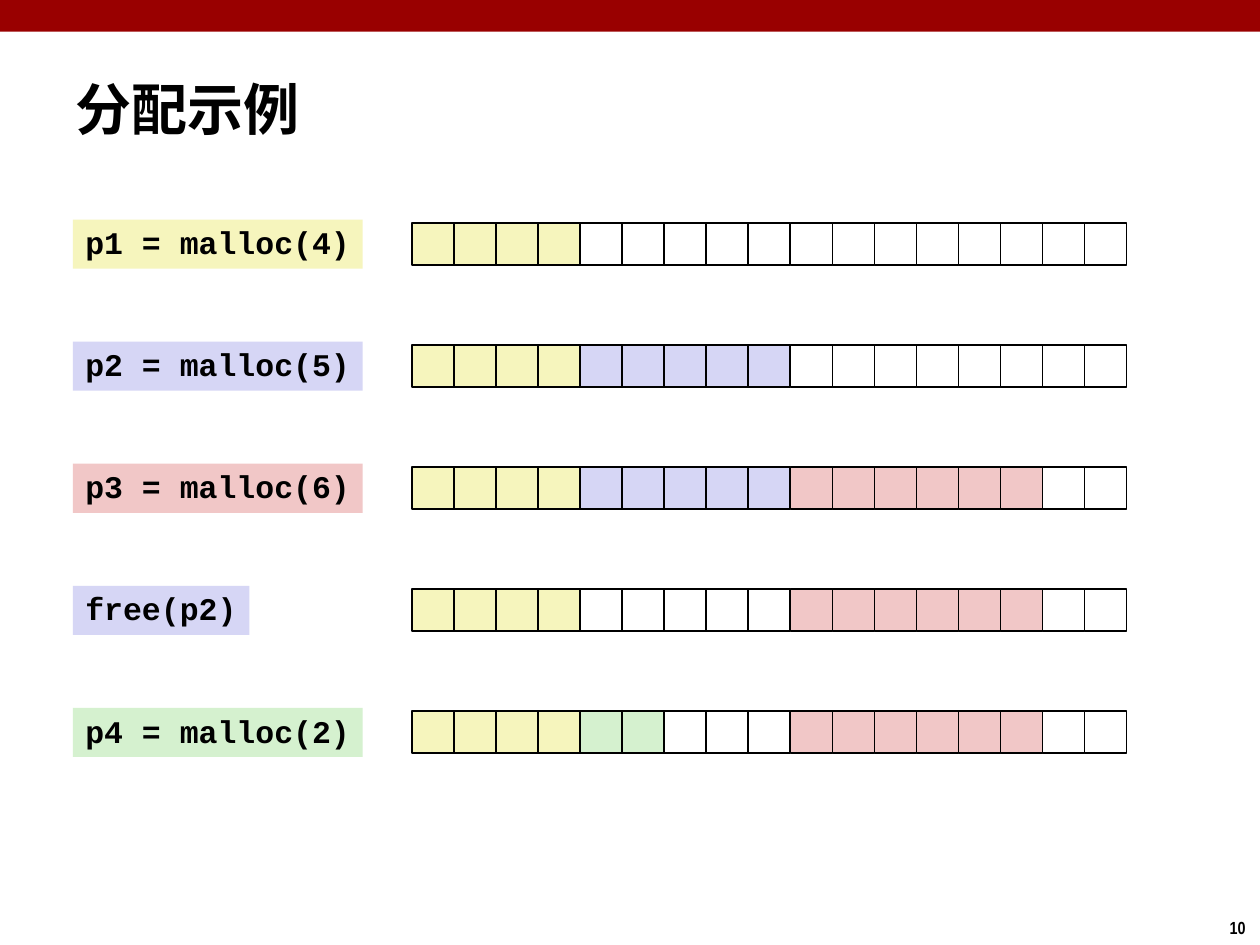
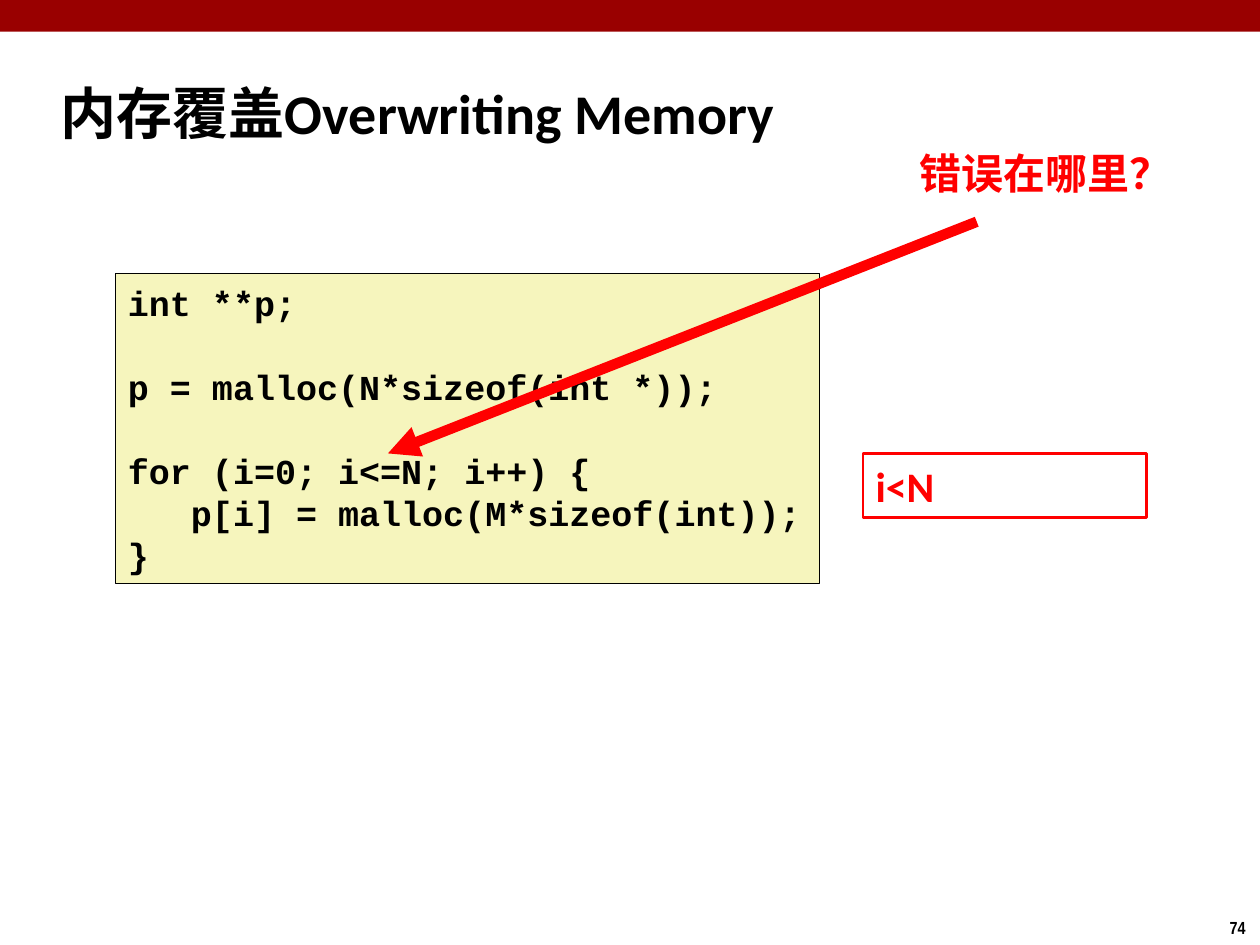
import pptx
import pptx.util
import pptx.dml.color
import pptx.enum.shapes
import pptx.enum.text
import pptx.oxml.ns
import lxml.etree

Cm, Pt = pptx.util.Cm, pptx.util.Pt
qn = pptx.oxml.ns.qn
RECTANGLE = pptx.enum.shapes.MSO_SHAPE.RECTANGLE

# Content: heap states are (block, number of words) from left to right
ALLOCATION = {
    "title": "分配示例",
    "number": "10",
    "steps": [
        ("p1 = malloc(4)", "p1", [("p1", 4), ("unused", 13)]),
        ("p2 = malloc(5)", "p2", [("p1", 4), ("p2", 5), ("unused", 8)]),
        ("p3 = malloc(6)", "p3", [("p1", 4), ("p2", 5), ("p3", 6), ("unused", 2)]),
        ("free(p2)", "p2", [("p1", 4), ("unused", 5), ("p3", 6), ("unused", 2)]),
        ("p4 = malloc(2)", "p4",
         [("p1", 4), ("p4", 2), ("unused", 3), ("p3", 6), ("unused", 2)]),
    ],
}
OVERWRITING = {
    "title": "内存覆盖Overwriting Memory",
    "number": "74",
    "code": [
        ["int **p;"],
        ["p = malloc(N*sizeof(int *));"],
        ["for (i=0; i<=N; i++) {", "   p[i] = malloc(M*sizeof(int));", "}"],
    ],
    "question": "错误在哪里？",
    "answer": "i<N",
}

# Shared look
BLACK, RED, BAND = "000000", "FF0000", "990000"
BLOCK_COLOURS = {"p1": "F6F5BD", "p2": "D6D6F5", "p3": "F1C7C7",
                 "p4": "D5F1CF", "unused": "FFFFFF"}
CJK_FONT = "Noto Sans CJK SC"
TITLE = {"name": "Calibri", "size": Pt(32), "bold": True}
NUMBER = {"name": "Arial Narrow", "size": Pt(10), "bold": True}
CALL = {"name": "Courier New", "size": Pt(18), "bold": True}
CODE = {"name": "Courier New", "size": Pt(20), "bold": True}
QUESTION = {"name": CJK_FONT, "size": Pt(24), "bold": True}
ANSWER = {"name": "Calibri", "size": Pt(24), "bold": True}
CODE_PITCH = Pt(24)

# Heap grid, in centimetres
HEAP_LEFT, HEAP_TOP, HEAP_WIDTH, HEAP_WORDS = 8.31, 4.5, 14.4, 17
WORD = HEAP_WIDTH / HEAP_WORDS
STEP_PITCH = 2.46
CALL_LEFT, CALL_HEIGHT, CHAR_WIDTH, CALL_PADDING = 1.47, 0.99, 0.38, 0.52


def colour(value):
    return pptx.dml.color.RGBColor.from_string(value)


def place(shape, left, top, width, height):
    shape.left, shape.top = Cm(left), Cm(top)
    shape.width, shape.height = Cm(width), Cm(height)


def write(paragraph, words, style, ink=BLACK, **spacing):
    run = paragraph.add_run()
    run.text = words
    for key, value in style.items():
        setattr(run.font, key, value)
    run.font.color.rgb = colour(ink)
    east_asian = lxml.etree.SubElement(run.font._element, qn("a:ea"))
    east_asian.set("typeface", CJK_FONT)
    paragraph.alignment = pptx.enum.text.PP_ALIGN.LEFT
    for key, value in spacing.items():
        setattr(paragraph, key, value)


def prepare_frame(shape, wrap):
    frame = shape.text_frame
    settings = {"word_wrap": wrap, "auto_size": pptx.enum.text.MSO_AUTO_SIZE.NONE,
                "vertical_anchor": pptx.enum.text.MSO_ANCHOR.MIDDLE}
    for key, value in settings.items():
        setattr(frame, key, value)
    return frame


def add_box(shapes, at, fill=None, outline=None, weight=1):
    box = shapes.add_shape(RECTANGLE, *(Cm(length) for length in at))
    box.shadow.inherit = False
    if fill:
        box.fill.solid()
        box.fill.fore_color.rgb = colour(fill)
    else:
        box.fill.background()
    if outline:
        box.line.color.rgb = colour(outline)
        box.line.width = Pt(weight)
    else:
        box.line.fill.background()
    return box


def add_note(slide, at, words, style, ink=BLACK, wrap=True):
    note = slide.shapes.add_textbox(*(Cm(length) for length in at))
    write(prepare_frame(note, wrap).paragraphs[0], words, style, ink)


def start_slide(deck, content, title_at, title_spacing=1.0):
    slide = deck.slides.add_slide(deck.slide_layouts.get_by_name("Title Only"))
    add_box(slide.shapes, (0, 0, 25.4, 0.64), BAND)
    add_note(slide, (24.54, 18.36, 0.86, 0.69), content["number"], NUMBER, wrap=False)
    title = slide.shapes.title
    place(title, *title_at)
    write(prepare_frame(title, True).paragraphs[0], content["title"], TITLE,
          line_spacing=title_spacing)
    return slide


def add_arrow(slide, start, end, ink, weight):
    arrow = slide.shapes.add_connector(
        pptx.enum.shapes.MSO_CONNECTOR.STRAIGHT,
        *(Cm(length) for length in start + end))
    arrow.line.color.rgb = colour(ink)
    arrow.line.width = Pt(weight)
    properties = arrow.element.spPr
    head = lxml.etree.SubElement(properties.find(qn("a:ln")), qn("a:tailEnd"))
    head.set("type", "triangle")
    lxml.etree.SubElement(properties, qn("a:effectLst"))


def build_allocation(deck):
    slide = start_slide(deck, ALLOCATION, (1.27, 1.37, 17.96, 1.6))
    for step, (call, owner, heap) in enumerate(ALLOCATION["steps"]):
        top = HEAP_TOP + step * STEP_PITCH

        # One square per word of the heap
        words = slide.shapes.add_group_shape().shapes
        owners = [block for block, count in heap for _ in range(count)]
        for index, block in enumerate(owners):
            add_box(words, (HEAP_LEFT + index * WORD, top, WORD, WORD),
                    BLOCK_COLOURS[block], BLACK)

        # The call, centred on its heap row
        width = len(call) * CHAR_WIDTH + CALL_PADDING
        label = add_box(slide.shapes,
                        (CALL_LEFT, top + (WORD - CALL_HEIGHT) / 2, width, CALL_HEIGHT),
                        BLOCK_COLOURS[owner])
        write(prepare_frame(label, False).paragraphs[0], call, CALL, line_spacing=0.94)


def build_overwriting(deck):
    slide = start_slide(deck, OVERWRITING, (0.97, 1.27, 24.21, 2.18), 0.87)

    # Code listing, with one line of space between its blocks
    listing = add_box(slide.shapes, (2.33, 5.51, 14.18, 6.25),
                      BLOCK_COLOURS["p1"], BLACK, 0.25)
    frame = prepare_frame(listing, False)
    paragraph = frame.paragraphs[0]
    for block_index, block in enumerate(OVERWRITING["code"]):
        for line_index, line in enumerate(block):
            if block_index or line_index:
                paragraph = frame.add_paragraph()
            gap = CODE_PITCH if block_index and not line_index else Pt(0)
            write(paragraph, line, CODE, line_spacing=CODE_PITCH, space_before=gap)

    # Question, arrow to the faulty test, and answer
    add_note(slide, (18.29, 2.84, 7.77, 1.27), OVERWRITING["question"], QUESTION, RED)
    add_arrow(slide, (19.69, 4.47), (7.82, 9.14), RED, 6)
    answer = add_box(slide.shapes, (17.4, 9.14, 5.72, 1.29), outline=RED, weight=1.5)
    write(prepare_frame(answer, True).paragraphs[0], OVERWRITING["answer"], ANSWER, RED)


def main():
    deck = pptx.Presentation()
    deck.slide_width, deck.slide_height = Cm(25.4), Cm(19.05)
    build_allocation(deck)
    build_overwriting(deck)
    deck.save("out.pptx")


if __name__ == "__main__":
    main()
